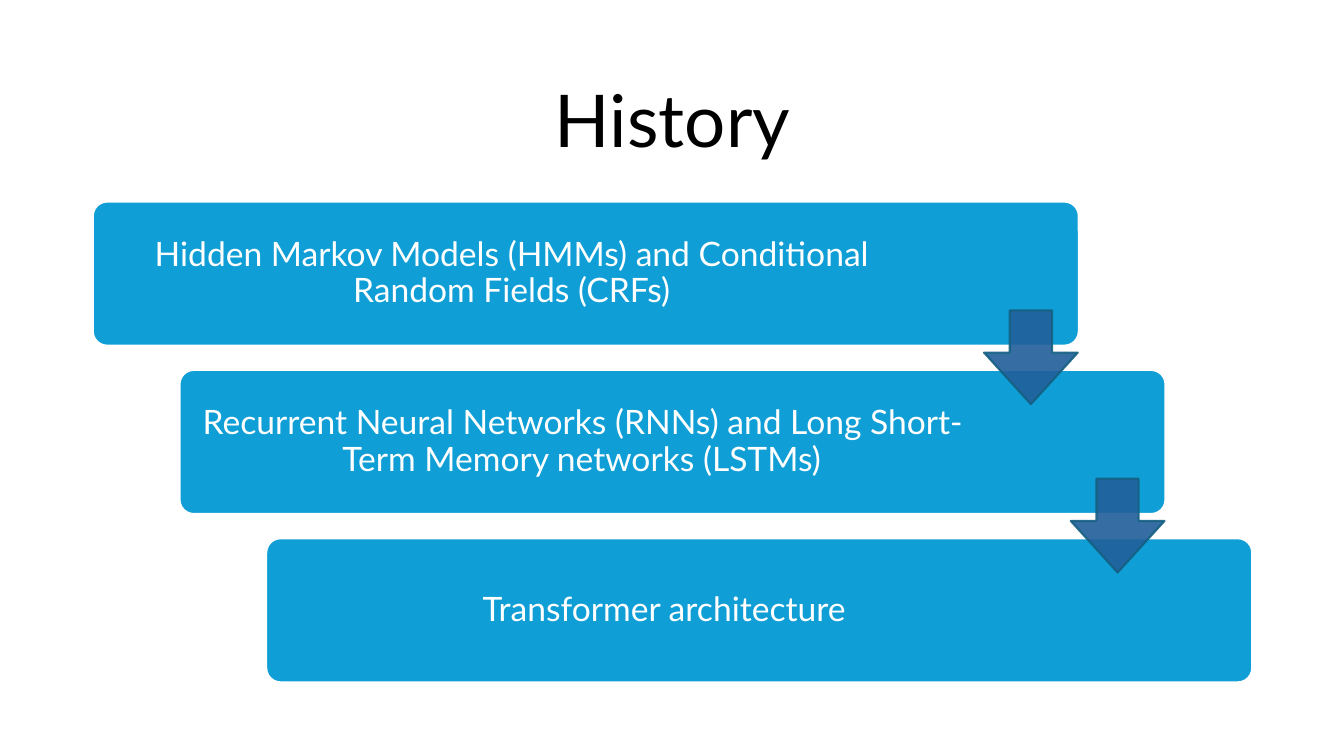
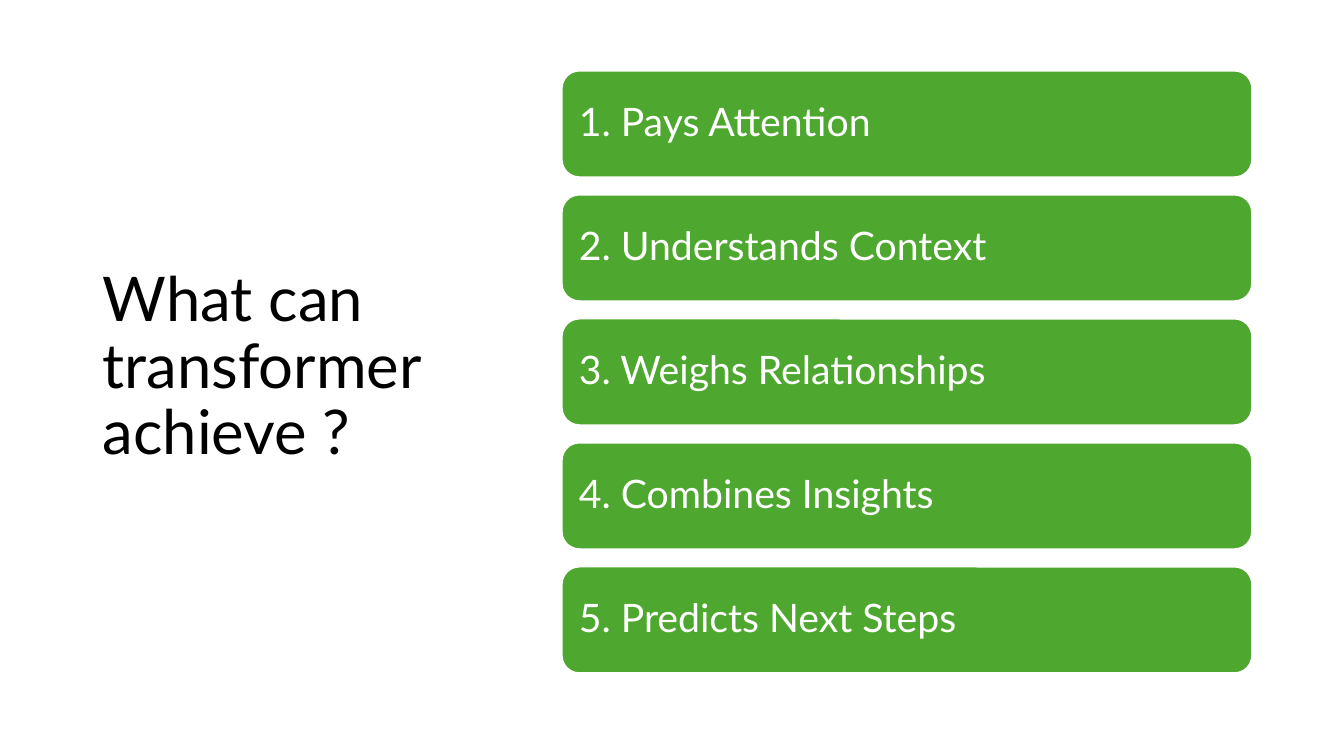
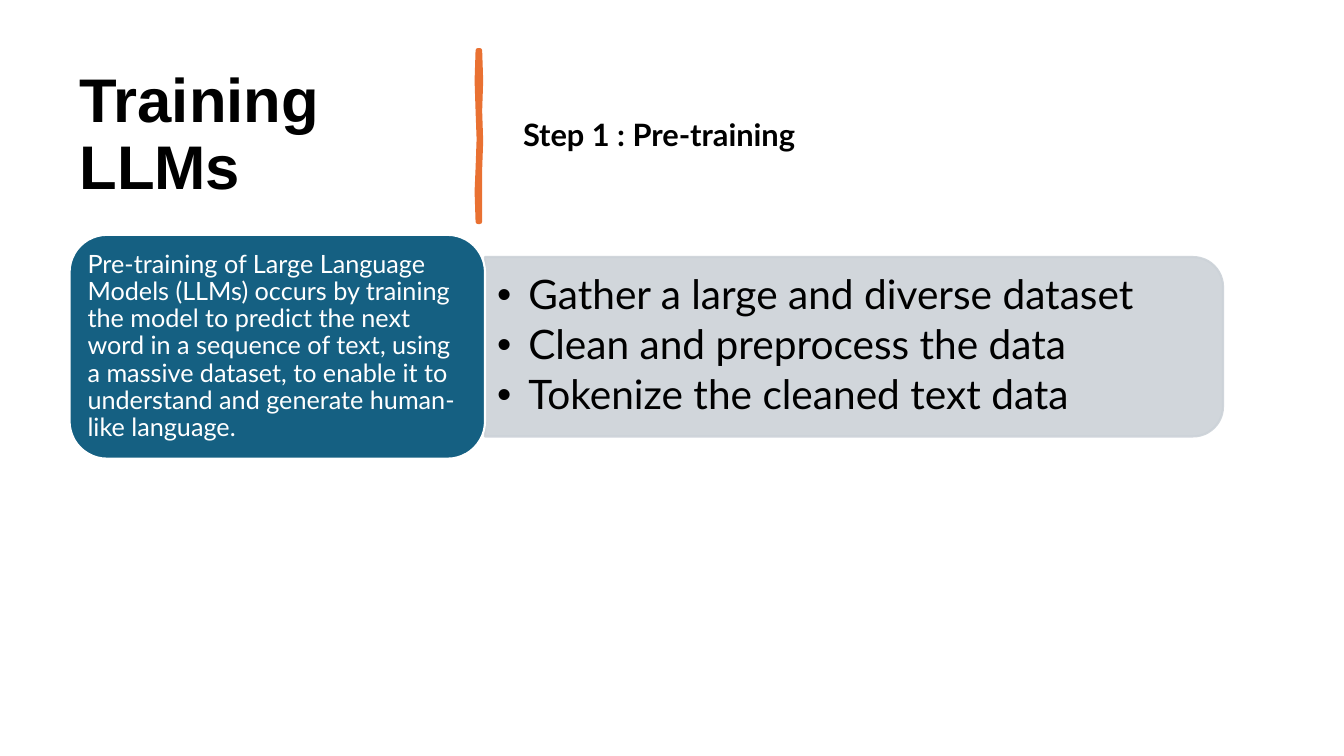
from dataclasses import dataclass

from lxml import etree
from pptx import Presentation
from pptx.dml.color import RGBColor
from pptx.enum.shapes import MSO_SHAPE
from pptx.enum.text import MSO_ANCHOR, PP_ALIGN
from pptx.oxml.ns import qn
from pptx.util import Pt

ROUNDED = MSO_SHAPE.ROUNDED_RECTANGLE
TOP_ROUNDED = MSO_SHAPE.ROUND_2_SAME_RECTANGLE
DOWN_ARROW = MSO_SHAPE.DOWN_ARROW
LEFT, CENTER = PP_ALIGN.LEFT, PP_ALIGN.CENTER
MIDDLE = MSO_ANCHOR.MIDDLE

EMU_PER_PX = 9144  # 100 px to the inch
SLIDE_WIDTH, SLIDE_HEIGHT = 1333, 750


@dataclass(frozen=True)
class Theme:
    # Fonts
    font: str = "Lato"
    heavy_font: str = "Arial"
    # Colours
    black: str = "000000"
    white: str = "FFFFFF"
    blue: str = "0F9ED5"
    navy: str = "215F9A"
    teal: str = "156082"
    green: str = "4EA72E"
    orange: str = "E97132"
    grey: str = "CCD2D8"
    # Type sizes and line widths in points
    main_title: float = 52
    side_title: float = 44
    bullet: float = 29
    item: float = 28
    stage: float = 24
    subtitle: float = 22
    note: float = 18
    outline: float = 1.5
    stroke: float = 3.25


THEME = Theme()


def px(length):
    return length * EMU_PER_PX


def write_text(shape, text, *, size, color=THEME.black, font=THEME.font, bold=False,
               align=LEFT, insets=(10, 5, 10, 5), bullet_indent=0, space_after=0):
    """Fill a shape with one paragraph per line of text."""
    frame = shape.text_frame
    frame.word_wrap = True
    frame.vertical_anchor = MIDDLE
    (frame.margin_left, frame.margin_top,
     frame.margin_right, frame.margin_bottom) = map(px, insets)
    frame.text = text
    for paragraph in frame.paragraphs:
        paragraph.alignment = align
        paragraph.line_spacing = 0.9
        paragraph.space_after = Pt(space_after)
        for run in paragraph.runs:
            run.font.name = font
            run.font.size = Pt(size)
            run.font.bold = bold
            run.font.color.rgb = RGBColor.from_string(color)
        if bullet_indent:
            properties = paragraph._p.get_or_add_pPr()
            properties.set("marL", str(px(bullet_indent)))
            properties.set("indent", str(-px(bullet_indent)))
            etree.SubElement(properties, qn("a:buFont"), typeface="Arial")
            etree.SubElement(properties, qn("a:buChar"), char="•")


class Deck:
    """Holds the presentation, its style and the current slide."""

    def __init__(self, theme):
        self.theme = theme
        self.presentation = Presentation()
        self.presentation.slide_width = px(SLIDE_WIDTH)
        self.presentation.slide_height = px(SLIDE_HEIGHT)
        self.slide = None

    def new_slide(self):
        self.slide = self.presentation.slides.add_slide(self.presentation.slide_layouts[6])

    def paint(self, shape, fill, line, width, opacity=100):
        shape.shadow.inherit = False
        shape.fill.solid()
        shape.fill.fore_color.rgb = RGBColor.from_string(fill)
        shape.line.color.rgb = RGBColor.from_string(line)
        shape.line.width = Pt(width)
        if opacity < 100:
            for color in shape._element.spPr.iter(qn("a:srgbClr")):
                etree.SubElement(color, qn("a:alpha"), val=str(opacity * 1000))

    def text(self, box, text, **text_format):
        shape = self.slide.shapes.add_textbox(*map(px, box))
        write_text(shape, text, **text_format)

    def shape(self, kind, box, fill, line=THEME.white, adjustments=(), opacity=100, rotation=0):
        shape = self.slide.shapes.add_shape(kind, *map(px, box))
        for index, value in enumerate(adjustments):
            shape.adjustments[index] = value
        shape.rotation = rotation
        self.paint(shape, fill, line, self.theme.outline, opacity)
        return shape

    def card(self, box, fill, text, adjustments=(), **text_format):
        card = self.shape(ROUNDED, box, fill, adjustments=adjustments)
        write_text(card, text, color=self.theme.white, **text_format)

    def brush_stroke(self, points, color):
        builder = self.slide.shapes.build_freeform(*points[0], scale=EMU_PER_PX)
        builder.add_line_segments(points[1:], close=True)
        stroke = builder.convert_to_shape()
        self.paint(stroke, color, color, self.theme.stroke)
        etree.SubElement(stroke._element.spPr.find(qn("a:ln")), qn("a:round"))


def build_history(deck):
    theme = deck.theme
    deck.new_slide()
    deck.text((92, 61, 1150, 124), "History", size=theme.main_title, align=CENTER)

    # Staircase of stages, each with the room kept free at its right
    stages = [
        ("Hidden Markov Models (HMMs) and Conditional Random Fields (CRFs)", 157),
        ("Recurrent Neural Networks (RNNs) and Long Short-Term Memory networks (LSTMs)", 190),
        ("Transformer architecture ", 190),
    ]
    corners = [(92 + 86 * step, 200 + 167 * step) for step in range(len(stages))]
    for (left, top), (text, right_inset) in zip(corners, stages):
        deck.card((left, top, 978, 143), theme.blue, text, adjustments=(0.1,),
                  size=theme.stage, align=CENTER, insets=(10, 10, right_inset, 10))

    # Arrows from each stage to the next
    for left, top in corners[:-1]:
        deck.shape(DOWN_ARROW, (left + 884, top + 108, 93, 93), theme.navy,
                   line=theme.teal, adjustments=(0.45, 0.55), opacity=90)


def build_abilities(deck):
    theme = deck.theme
    deck.new_slide()
    deck.text((92, 61, 411, 609), "What can transformer achieve ?", size=theme.side_title)

    # Numbered list of cards
    abilities = ["Pays Attention", "Understands Context", "Weighs Relationships",
                 "Combines Insights", "Predicts Next Steps"]
    for index, ability in enumerate(abilities):
        deck.card((557, 70 + 123 * index, 685, 106), theme.green, f"{index + 1}. {ability}",
                  size=theme.item, insets=(12, 12, 12, 12))


def build_training(deck):
    theme = deck.theme
    deck.new_slide()

    # Heading, divider and step name
    deck.text((69, 55, 374, 160), "Training LLMs", size=theme.side_title,
              font=theme.heavy_font, bold=True)
    deck.brush_stroke([(476, 50), (477, 80), (476, 110), (477, 140), (476, 168), (476, 220),
                       (474, 220), (473, 190), (474, 167), (475, 138), (474, 110), (473, 80),
                       (474, 50)], theme.orange)
    deck.text((509, 55, 754, 160), "Step 1 : Pre-training", size=theme.subtitle, bold=True)

    # Tasks panel, turned so that its round corners face right
    deck.shape(TOP_ROUNDED, (758, -22, 178, 732), theme.grey, line=theme.grey,
               opacity=90, rotation=90)
    tasks = ["Gather a large and diverse dataset", "Clean and preprocess the data",
             "Tokenize the cleaned text data"]
    deck.text((481, 264, 723, 160), "\n".join(tasks), size=theme.bullet,
              insets=(12, 6, 12, 6), bullet_indent=31, space_after=4.4)

    # Explanation
    deck.card((69, 233, 412, 222), theme.teal,
              "Pre-training of Large Language Models (LLMs) occurs by training the model to "
              "predict the next word in a sequence of text, using a massive dataset, to enable "
              "it to understand and generate human-like language.",
              size=theme.note, insets=(7, 4, 7, 4))


def main():
    deck = Deck(THEME)
    build_history(deck)
    build_abilities(deck)
    build_training(deck)
    deck.presentation.save("out.pptx")


if __name__ == "__main__":
    main()
